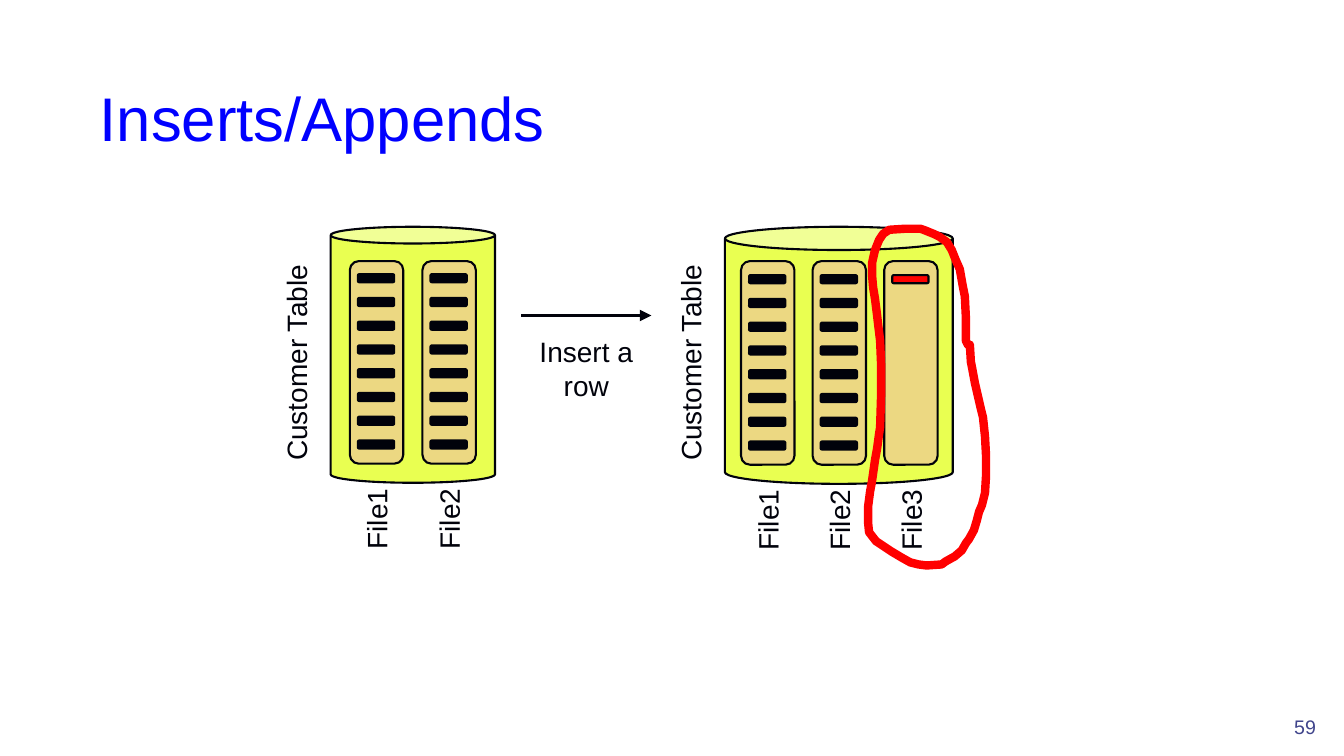
"""Build the slide that shows how inserting a row adds a new file to a table."""
from lxml import etree
from pptx import Presentation
from pptx.dml.color import RGBColor
from pptx.enum.shapes import MSO_CONNECTOR, MSO_SHAPE
from pptx.enum.text import MSO_ANCHOR, PP_ALIGN
from pptx.oxml.ns import qn
from pptx.util import Inches, Pt

CAN, ROUNDED = MSO_SHAPE.CAN, MSO_SHAPE.ROUNDED_RECTANGLE
STRAIGHT = MSO_CONNECTOR.STRAIGHT
LEFT, CENTER, RIGHT = PP_ALIGN.LEFT, PP_ALIGN.CENTER, PP_ALIGN.RIGHT
TOP, BOTTOM = MSO_ANCHOR.TOP, MSO_ANCHOR.BOTTOM

COLORS = {"ink": "01020B", "table": "E9FF51", "file": "ECD882", "new": "FF0000",
          "title": "0000FF", "number": "40458C"}

TITLE = "Inserts/Appends"
ACTION = ["Insert a", "row"]
PAGE_NUMBER = "59"
TABLE_NAME = "Customer Table"
FULL_FILE = ["ink"] * 8
TABLES = [
    {"left": 3.28, "width": 1.63, "height": 2.54, "first_file": 3.47, "file_pitch": 0.72,
     "file_height": 2.01, "first_row": 2.72, "label_top": 4.93,
     "files": [("File1", FULL_FILE), ("File2", FULL_FILE)]},
    {"left": 7.19, "width": 2.26, "height": 2.55, "first_file": 7.35, "file_pitch": 0.71,
     "file_height": 2.02, "first_row": 2.73, "label_top": 4.94,
     "files": [("File1", FULL_FILE), ("File2", FULL_FILE), ("File3", ["new"])]},
]
TABLE_TOP, FILE_TOP = 2.25, 2.59
FILE_WIDTH, ROW_WIDTH, ROW_HEIGHT = 0.53, 0.36, 0.08
ROW_PITCH = 1.65 / 7

HIGHLIGHT = [
    (9.58, 3.38), (9.58, 3.14), (9.57, 2.94), (9.55, 2.84), (9.52, 2.67), (9.48, 2.58),
    (9.44, 2.48), (9.39, 2.4), (9.32, 2.35), (9.26, 2.32), (9.16, 2.28), (9.13, 2.27),
    (8.97, 2.27), (8.82, 2.28), (8.76, 2.32), (8.72, 2.38), (8.68, 2.48), (8.67, 2.52),
    (8.65, 2.61), (8.65, 2.73), (8.66, 2.85), (8.68, 2.97), (8.7, 3.13), (8.71, 3.22),
    (8.73, 3.38), (8.74, 3.63), (8.74, 3.9), (8.73, 4.24), (8.72, 4.3), (8.7, 4.45),
    (8.68, 4.56), (8.65, 4.77), (8.63, 4.88), (8.61, 5.03), (8.61, 5.18), (8.62, 5.28),
    (8.69, 5.37), (8.75, 5.41), (8.84, 5.47), (8.94, 5.53), (9.03, 5.58), (9.11, 5.6),
    (9.19, 5.61), (9.34, 5.6), (9.38, 5.57), (9.47, 5.52), (9.54, 5.46), (9.58, 5.39),
    (9.61, 5.35), (9.66, 5.26), (9.69, 5.16), (9.71, 5.08), (9.74, 5.01), (9.77, 4.89),
    (9.78, 4.72), (9.78, 4.52), (9.77, 4.33), (9.75, 4.14), (9.73, 4.06), (9.7, 3.93),
    (9.67, 3.8), (9.64, 3.64), (9.63, 3.59), (9.62, 3.42), (9.6, 3.42),
]

prs = Presentation()
prs.slide_width, prs.slide_height = Inches(13.33), Inches(7.5)
slide = prs.slides.add_slide(prs.slide_layouts[5])
shapes = slide.shapes


def rgb(name):
    return RGBColor.from_string(COLORS[name])


def add_text(lines, at, holder=None, size=20, color="ink", align=CENTER, anchor=TOP,
             rotation=0, wrap=False):
    box = holder or shapes.add_textbox(0, 0, 0, 0)
    box.left, box.top, box.width, box.height = map(Inches, at)
    box.rotation = rotation
    frame = box.text_frame
    frame.word_wrap, frame.vertical_anchor = wrap, anchor
    frame.text = "\n".join(lines)
    for paragraph in frame.paragraphs:
        paragraph.alignment = align
        paragraph.font.name, paragraph.font.size = "Arial", Pt(size)
        paragraph.font.color.rgb = rgb(color)


def add_box(preset, at, fill):
    box = shapes.add_shape(preset, *map(Inches, at))
    box.shadow.inherit = False
    box.fill.solid()
    box.fill.fore_color.rgb = rgb(fill)
    box.line.color.rgb, box.line.width = rgb("ink"), Pt(1.5)
    return box


def add_customer_table(table):
    left = table["left"]
    add_text([TABLE_NAME], (left - 1.42, 3.38, 2.16, 0.44), rotation=270)
    can = add_box(CAN, (left, TABLE_TOP, table["width"], table["height"]), "table")
    can.adjustments[0] = 0.102
    for i, (file_name, rows) in enumerate(table["files"]):
        file_left = table["first_file"] + i * table["file_pitch"]
        add_text([file_name], (file_left - 0.14, table["label_top"], 0.81, 0.44), rotation=270)
        add_box(ROUNDED, (file_left, FILE_TOP, FILE_WIDTH, table["file_height"]), "file")
        for j, row_color in enumerate(rows):
            row_top = table["first_row"] + j * ROW_PITCH
            add_box(ROUNDED, (file_left + 0.08, row_top, ROW_WIDTH, ROW_HEIGHT), row_color)


def add_arrow(start, end):
    arrow = shapes.add_connector(STRAIGHT, *map(Inches, start + end))
    arrow.line.color.rgb, arrow.line.width = rgb("ink"), Pt(2.75)
    etree.SubElement(arrow.line._get_or_add_ln(), qn("a:tailEnd"), type="triangle")
    etree.SubElement(arrow._element.spPr, qn("a:effectLst"))


def add_highlight(points):
    corners = [(Inches(x), Inches(y)) for x, y in points]
    builder = shapes.build_freeform(*corners[0])
    builder.add_line_segments(corners[1:], close=True)
    loop = builder.convert_to_shape()
    loop.shadow.inherit = False
    loop.fill.background()
    loop.line.color.rgb, loop.line.width = rgb("new"), Pt(6)


add_text([TITLE], (0.89, 0.33, 11.33, 1.25), holder=shapes.title, size=44, color="title",
         align=LEFT, anchor=BOTTOM, wrap=True)
add_arrow((5.17, 3.13), (6.46, 3.13))
add_text(ACTION, (5.21, 3.27, 1.21, 0.77))
for customer_table in TABLES:
    add_customer_table(customer_table)
add_highlight(HIGHLIGHT)
add_text([PAGE_NUMBER], (12.14, 6.88, 1.01, 0.5), size=14, color="number", align=RIGHT,
         anchor=BOTTOM, wrap=True)

prs.save("out.pptx")
